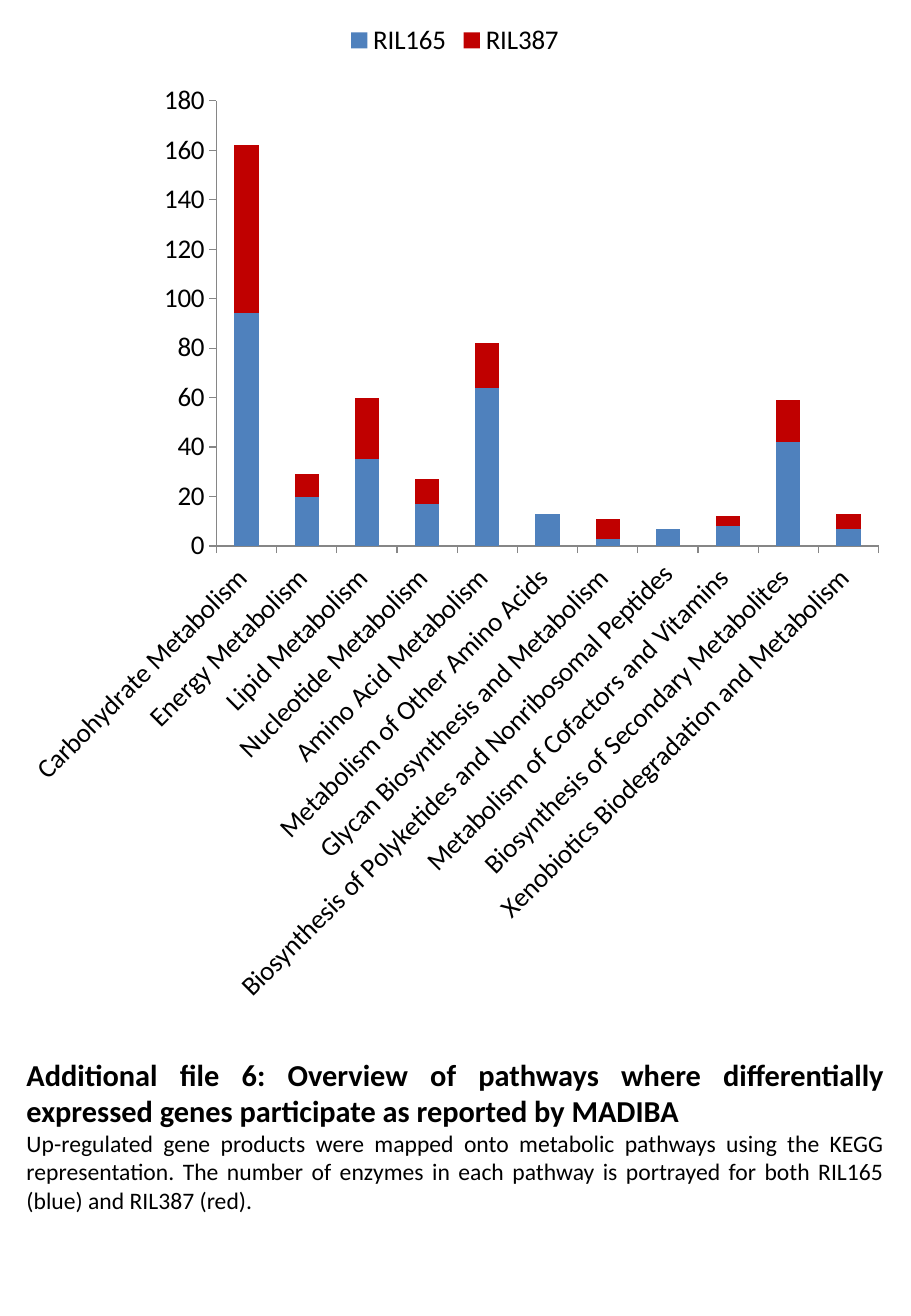
import pptx
import pptx.chart.data
import pptx.dml.color
import pptx.enum.chart
import pptx.enum.text
import pptx.oxml
import pptx.util
from pptx.util import Inches

FONT = "Calibri"
BLACK = "000000"
AXIS_GREY = "868686"
PATHWAYS = {
    "Carbohydrate Metabolism ": (94, 68),
    "Energy Metabolism ": (20, 9),
    "Lipid Metabolism ": (35, 25),
    "Nucleotide Metabolism ": (17, 10),
    "Amino Acid Metabolism ": (64, 18),
    "Metabolism of Other Amino Acids ": (13, 0),
    "Glycan Biosynthesis and Metabolism ": (3, 8),
    "Biosynthesis of Polyketides and Nonribosomal Peptides": (7, 0),
    "Metabolism of Cofactors and Vitamins ": (8, 4),
    "Biosynthesis of Secondary Metabolites ": (42, 17),
    "Xenobiotics Biodegradation and Metabolism ": (7, 6),
}
LINES = {"RIL165": "4F81BD", "RIL387": "C00000"}
PLOT_AREA = {"x": 0.23, "y": 0.09, "w": 0.75, "h": 0.44}
CAPTION = (
    ("Additional file 6: Overview of pathways where differentially expressed "
     "genes participate as reported by MADIBA", 18, True),
    ("Up-regulated gene products were mapped onto metabolic pathways using the "
     "KEGG representation. The number of enzymes in each pathway is portrayed "
     "for both RIL165 (blue) and RIL387 (red).", 14, False),
)


def rgb(hex_colour):
    """Turn a hex string into a colour."""
    return pptx.dml.color.RGBColor.from_string(hex_colour)


def apply_format(target, values):
    """Set every attribute named in values on target."""
    for name, value in values.items():
        setattr(target, name, value)


def style_font(font, size, bold=False):
    """Give a font the typeface, size, weight and colour of the slide."""
    apply_format(font, {"name": FONT, "size": pptx.util.Pt(size), "bold": bold})
    font.color.rgb = rgb(BLACK)


def fix_plot_area(chart):
    """Pin the inner plot area to fractions of the chart box."""
    parts = "".join(f'<c:{edge}Mode val="edge"/>' for edge in "xy")
    parts += "".join(f'<c:{key} val="{share}"/>' for key, share in PLOT_AREA.items())
    layout = pptx.oxml.parse_xml(
        '<c:layout xmlns:c="http://schemas.openxmlformats.org/drawingml/2006/chart">'
        f'<c:manualLayout><c:layoutTarget val="inner"/>{parts}</c:manualLayout></c:layout>'
    )
    plot_area = chart.plots[0]._element.getparent()
    for automatic in plot_area.xpath("c:layout"):
        plot_area.remove(automatic)
    plot_area.insert(0, layout)


def style_axes(chart):
    """Format both axes and slant the pathway names."""
    enums = pptx.enum.chart
    for axis in (chart.category_axis, chart.value_axis):
        apply_format(axis, {
            "has_major_gridlines": False,
            "major_tick_mark": enums.XL_TICK_MARK.OUTSIDE,
            "minor_tick_mark": enums.XL_TICK_MARK.NONE,
        })
        axis.format.line.color.rgb = rgb(AXIS_GREY)
        axis.format.line.width = pptx.util.Pt(0.75)
        style_font(axis.tick_labels.font, 16)
    apply_format(chart.value_axis,
                 {"minimum_scale": 0, "maximum_scale": 180, "major_unit": 20})
    slant = chart.category_axis._element.xpath("c:txPr/a:bodyPr")[0]
    slant.set("rot", "-2700000")
    slant.set("vert", "horz")


def add_pathway_chart(slide, left, top, width, height):
    """Draw the stacked enzyme counts for each pathway."""
    enums = pptx.enum.chart
    counts = pptx.chart.data.CategoryChartData(number_format="General")
    counts.categories = list(PATHWAYS)
    for line_name, values in zip(LINES, zip(*PATHWAYS.values())):
        counts.add_series(line_name, values)
    chart = slide.shapes.add_chart(
        enums.XL_CHART_TYPE.COLUMN_STACKED, left, top, width, height, counts).chart
    apply_format(chart, {"has_title": False, "has_legend": True})
    style_font(chart.font, 16)
    apply_format(chart.legend, {
        "position": enums.XL_LEGEND_POSITION.TOP, "include_in_layout": False})
    style_font(chart.legend.font, 16)
    apply_format(chart.plots[0],
                 {"gap_width": 150, "overlap": 100, "vary_by_categories": False})
    for series, colour in zip(chart.plots[0].series, LINES.values()):
        series.format.fill.solid()
        series.format.fill.fore_color.rgb = rgb(colour)
    style_axes(chart)
    fix_plot_area(chart)


def add_caption(slide, left, top, width, height):
    """Write the title and explanation below the chart."""
    frame = slide.shapes.add_textbox(left, top, width, height).text_frame
    apply_format(frame, {
        "word_wrap": True,
        "auto_size": pptx.enum.text.MSO_AUTO_SIZE.SHAPE_TO_FIT_TEXT,
    })
    for index, (wording, size, bold) in enumerate(CAPTION):
        paragraph = frame.add_paragraph() if index else frame.paragraphs[0]
        paragraph.alignment = pptx.enum.text.PP_ALIGN.JUSTIFY
        run = paragraph.add_run()
        run.text = wording
        style_font(run.font, size, bold)


def main():
    """Build the one-slide figure and save it."""
    deck = pptx.Presentation()
    apply_format(deck, {"slide_width": Inches(7.5), "slide_height": Inches(10.83)})
    slide = deck.slides.add_slide(deck.slide_layouts[6])
    add_caption(slide, Inches(0.12), Inches(8.64), Inches(7.26), Inches(1.41))
    add_pathway_chart(slide, Inches(0.11), Inches(0.08), Inches(7.27), Inches(8.33))
    deck.save("out.pptx")


if __name__ == "__main__":
    main()
